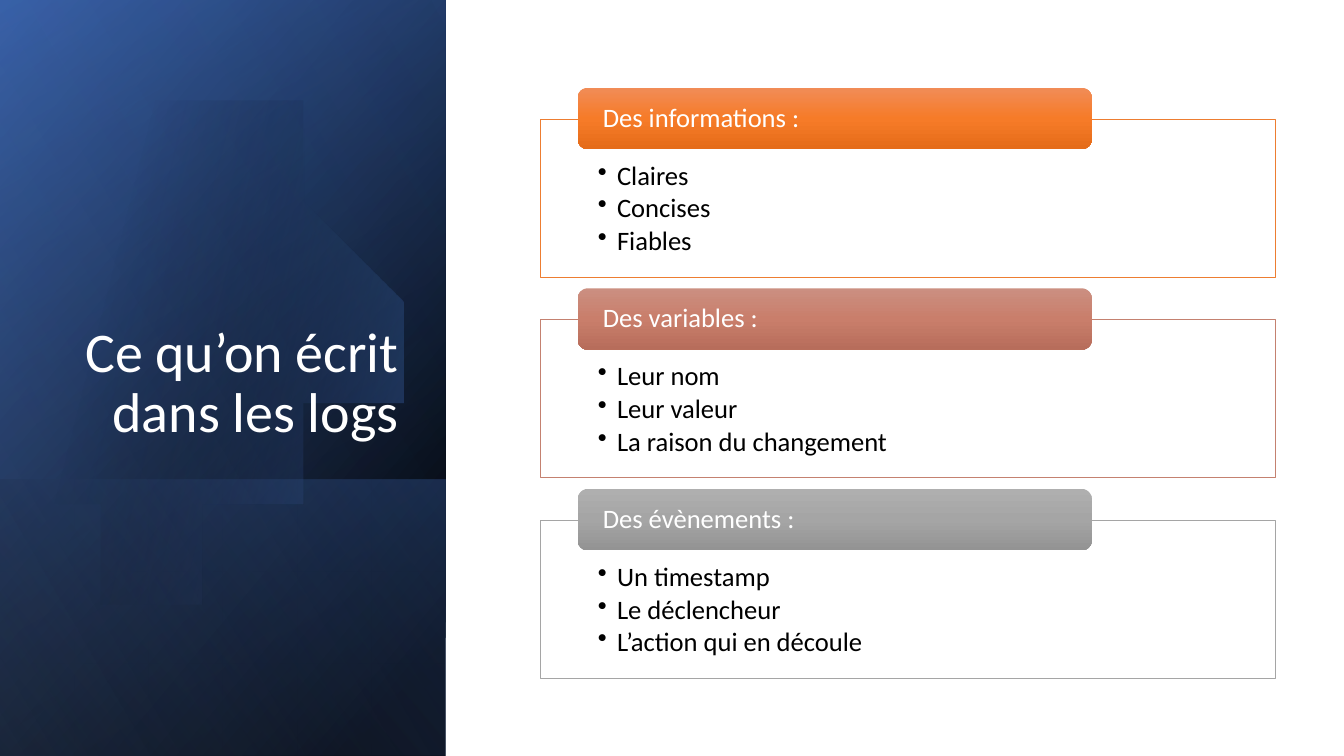
from lxml import etree
from pptx import Presentation
from pptx.dml.color import RGBColor
from pptx.enum.shapes import MSO_SHAPE
from pptx.enum.text import MSO_ANCHOR, PP_ALIGN
from pptx.oxml.ns import qn
from pptx.util import Inches, Pt

HEADLINE = "Ce qu’on écrit dans les logs"
SECTIONS = [
    ("Des informations :", ["Claires", "Concises", "Fiables"],
     "ED7D31", ("F18C57", "F67B28", "E56C19")),
    ("Des variables :", ["Leur nom", "Leur valeur", "La raison du changement"],
     "C48170", ("CB8F81", "C97E6B", "B76D5B")),
    ("Des évènements :", ["Un timestamp", "Le déclencheur", "L’action qui en découle"],
     "A5A5A5", ("AFAFAF", "A5A5A5", "939393")),
]

PANEL_WIDTH = 4.42
BASE_LAYERS = [
    (0, 50, [(8, "000000", 100), (100, "2F5597", 100)]),
    (0, 30, [(0, "000000", 0), (99, "4472C4", 46)]),
    (4.76, 130, [(2, "4472C4", 29), (100, "000000", 30)]),
]
GLOW_STOPS = [(29, "000000", 0), (100, "4472C4", 43)]
GLOW_ANGLE = 14
TOP_LAYER = (0, 120, [(0, "000000", 0), (99, "8FAADC", 11)])
DISC_START = (1.49, 1.1)
DISC_CURVES = [
    [(2.46, 1.12), (3.35, 1.77), (3.63, 2.75)],
    [(3.98, 3.97), (3.28, 5.23), (2.07, 5.58)],
    [(1.31, 5.8), (0.53, 5.61), (-0.03, 5.14)],
    [(-0.15, 5.03)],
    [(-0.15, 1.75)],
    [(0, 1.61)],
    [(0.23, 1.42), (0.5, 1.28), (0.8, 1.19)],
    [(1.03, 1.13), (1.26, 1.1), (1.49, 1.1)],
]
CURVE_STEPS = 24

BOX_LEFT, BOX_TOP, BOX_WIDTH, BOX_HEIGHT = 5.36, 1.18, 7.29, 1.57
BOX_PITCH = 1.99
TAB_LEFT, TAB_RISE, TAB_WIDTH, TAB_HEIGHT = 5.73, 0.31, 5.1, 0.61
BULLET_INDENT = 0.19

HEADLINE_FRAME = {"vertical_anchor": MSO_ANCHOR.BOTTOM, "word_wrap": True}
TAB_FRAME = {"vertical_anchor": MSO_ANCHOR.MIDDLE, "word_wrap": True,
             "margin_left": Inches(0.22), "margin_right": Inches(0.22),
             "margin_top": 0, "margin_bottom": 0}
BOX_FRAME = {"vertical_anchor": MSO_ANCHOR.TOP, "word_wrap": True,
             "margin_left": Inches(0.57), "margin_right": Inches(0.57),
             "margin_top": Inches(0.43), "margin_bottom": Inches(0.15)}
HEADLINE_PARAGRAPH = {"alignment": PP_ALIGN.RIGHT, "line_spacing": 0.9}
TAB_PARAGRAPH = {"alignment": PP_ALIGN.LEFT, "line_spacing": 0.9}
BULLET_PARAGRAPH = TAB_PARAGRAPH | {"space_after": Pt(2.8)}


def apply(target, values):
    for key, value in values.items():
        setattr(target, key, value)


def paint(color_format, hex_color):
    color_format.rgb = RGBColor.from_string(hex_color)


def add_alpha(color_element, percent):
    etree.SubElement(color_element, qn("a:alpha"), val=str(percent * 1000))


def gradient(shape, angle, stops):
    shape.shadow.inherit = False
    shape.line.fill.background()
    shape.fill.background()
    properties = shape._element.spPr
    blend = etree.Element(qn("a:gradFill"), rotWithShape="1")
    stop_list = etree.SubElement(blend, qn("a:gsLst"))
    for position, hex_color, opacity in stops:
        stop = etree.SubElement(stop_list, qn("a:gs"), pos=str(position * 1000))
        color = etree.SubElement(stop, qn("a:srgbClr"), val=hex_color)
        if opacity < 100:
            add_alpha(color, opacity)
    etree.SubElement(blend, qn("a:lin"), ang=str(angle * 60000), scaled="0")
    properties.replace(properties.find(qn("a:noFill")), blend)


def write(shape, lines, frame_values, paragraph_values, size, hex_color, bullet=False):
    frame = shape.text_frame
    apply(frame, frame_values)
    for index, line in enumerate(lines):
        paragraph = frame.add_paragraph() if index else frame.paragraphs[0]
        apply(paragraph, paragraph_values)
        if bullet:
            properties = paragraph._p.get_or_add_pPr()
            properties.set("marL", str(Inches(BULLET_INDENT)))
            properties.set("indent", str(-Inches(BULLET_INDENT)))
            etree.SubElement(properties, qn("a:buChar"), char="•")
        run = paragraph.add_run()
        run.text = line
        apply(run.font, {"name": "Calibri", "size": Pt(size)})
        paint(run.font.color, hex_color)


def add_layer(shapes, top, angle, stops):
    length = 7.5 - top
    layer = shapes.add_shape(
        MSO_SHAPE.RECTANGLE, Inches((PANEL_WIDTH - length) / 2),
        Inches(top + (length - PANEL_WIDTH) / 2), Inches(length), Inches(PANEL_WIDTH))
    layer.rotation = 90
    layer._element.spPr.find(qn("a:xfrm")).set("flipH", "1")
    gradient(layer, angle, stops)


def disc_points():
    start = DISC_START
    for curve in DISC_CURVES:
        if len(curve) == 1:
            yield curve[0]
        else:
            anchors = [start, *curve]
            for step in range(1, CURVE_STEPS + 1):
                t = step / CURVE_STEPS
                weights = ((1 - t) ** 3, 3 * t * (1 - t) ** 2, 3 * t * t * (1 - t), t ** 3)
                yield tuple(sum(w * a[axis] for w, a in zip(weights, anchors))
                            for axis in (0, 1))
        start = curve[-1]


def add_disc(shapes):
    outline = shapes.build_freeform(*DISC_START, scale=Inches(1))
    outline.add_line_segments(list(disc_points()), close=True)
    gradient(outline.convert_to_shape(), GLOW_ANGLE, GLOW_STOPS)


def add_section(shapes, index, heading, items, border, shades):
    top = BOX_TOP + index * BOX_PITCH
    box = shapes.add_shape(MSO_SHAPE.RECTANGLE, Inches(BOX_LEFT), Inches(top),
                           Inches(BOX_WIDTH), Inches(BOX_HEIGHT))
    box.shadow.inherit = False
    box.fill.solid()
    paint(box.fill.fore_color, "FFFFFF")
    add_alpha(box._element.spPr.find(qn("a:solidFill"))[0], 90)
    paint(box.line.color, border)
    box.line.width = Pt(0.5)
    write(box, items, BOX_FRAME, BULLET_PARAGRAPH, 19, "000000", bullet=True)

    tab = shapes.add_shape(MSO_SHAPE.ROUNDED_RECTANGLE, Inches(TAB_LEFT),
                           Inches(top - TAB_RISE), Inches(TAB_WIDTH), Inches(TAB_HEIGHT))
    gradient(tab, 90, [(i * 50, shade, 100) for i, shade in enumerate(shades)])
    write(tab, [heading], TAB_FRAME, TAB_PARAGRAPH, 19, "FFFFFF")


def main():
    deck = Presentation()
    apply(deck, {"slide_width": Inches(13.33), "slide_height": Inches(7.5)})
    shapes = deck.slides.add_slide(deck.slide_layouts[6]).shapes
    for layer in BASE_LAYERS:
        add_layer(shapes, *layer)
    add_disc(shapes)
    add_layer(shapes, *TOP_LAYER)
    headline = shapes.add_textbox(Inches(0.64), Inches(1.84), Inches(3.41), Inches(2.62))
    write(headline, [HEADLINE], HEADLINE_FRAME, HEADLINE_PARAGRAPH, 40, "FFFFFF")
    for index, section in enumerate(SECTIONS):
        add_section(shapes, index, *section)
    deck.save("out.pptx")


if __name__ == "__main__":
    main()
